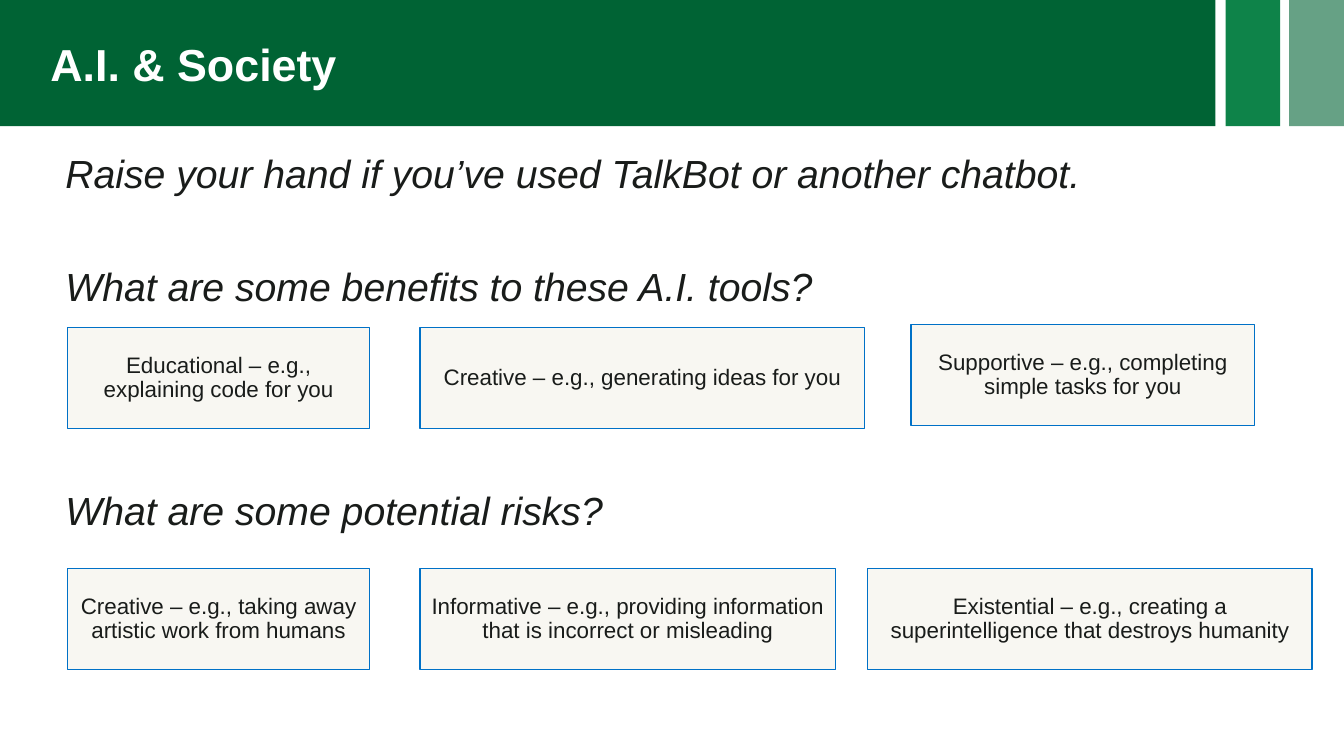
from dataclasses import dataclass

from pptx import Presentation
from pptx.dml.color import RGBColor
from pptx.enum.shapes import MSO_SHAPE as SHAPE
from pptx.enum.text import MSO_ANCHOR as ANCHOR, PP_ALIGN as ALIGN
from pptx.util import Cm, Pt


@dataclass(frozen=True)
class Theme:
    """Colours, font and type sizes of the slide."""
    banner: str = "006334"
    stripe: str = "0E8349"
    pale_stripe: str = "66A185"
    card: str = "F8F7F2"
    outline: str = "0071C7"
    ink: str = "191C1A"
    white: str = "FFFFFF"
    font: str = "Arial"
    title: int = 32
    question: int = 28
    answer: int = 16


THEME = Theme()
BANNER_HEIGHT = 3.18
CARD_HEIGHT = 2.54
INSET = 0.25

QUESTIONS = [
    ("Raise your hand if you’ve used TalkBot or another chatbot.", 0),
    ("What are some benefits to these A.I. tools?", 47),
    ("What are some potential risks?", 126.4),
]
ANSWERS = [
    (1.7, 8.26, 7.62, "Educational – e.g., explaining code for you"),
    (10.59, 8.26, 11.2, "Creative – e.g., generating ideas for you"),
    (22.96, 8.18, 8.66, "Supportive – e.g., completing simple tasks for you"),
    (1.7, 14.33, 7.62, "Creative – e.g., taking away artistic work from humans"),
    (10.59, 14.33, 10.46,
     "Informative – e.g., providing information that is incorrect or misleading"),
    (21.87, 14.33, 11.2,
     "Existential – e.g., creating a superintelligence that destroys humanity"),
]


def set_font(p, size, color, bold=False, italic=False):
    """Style a whole paragraph."""
    font = p.font
    font.name, font.size = THEME.font, Pt(size)
    font.bold, font.italic = bold, italic
    font.color.rgb = RGBColor.from_string(color)


def set_frame(tf, left=INSET, top=INSET, bottom=INSET, anchor=ANCHOR.MIDDLE):
    """Wrap a text frame and set its margins and anchor."""
    tf.word_wrap = True
    tf.vertical_anchor = anchor
    tf.margin_left, tf.margin_right = Cm(left), Cm(INSET)
    tf.margin_top, tf.margin_bottom = Cm(top), Cm(bottom)


def add_block(s, left, top, width, height, fill, line=None):
    """Add a flat rectangle, outlined if a line colour is given."""
    sp = s.shapes.add_shape(SHAPE.RECTANGLE, Cm(left), Cm(top), Cm(width), Cm(height))
    sp.shadow.inherit = False
    sp.fill.solid()
    sp.fill.fore_color.rgb = RGBColor.from_string(fill)
    if line:
        sp.line.color.rgb = RGBColor.from_string(line)
        sp.line.width = Pt(1)
    else:
        sp.line.fill.background()
    return sp


def add_banner(s, title):
    """Add the title banner and the two stripes beside it."""
    add_block(s, 30.89, 0, 1.37, BANNER_HEIGHT, THEME.stripe)
    add_block(s, 32.49, 0, 1.38, BANNER_HEIGHT, THEME.pale_stripe)
    tf = add_block(s, 0, 0, 30.63, BANNER_HEIGHT, THEME.banner).text_frame
    set_frame(tf, left=1.27, bottom=0)
    p = tf.paragraphs[0]
    p.text = title
    p.alignment = ALIGN.LEFT
    p.line_spacing = 0.85
    set_font(p, THEME.title, THEME.white, bold=True)


def add_questions(s, questions):
    """Add the questions as one text box, spaced to leave room for answers."""
    tf = s.shapes.add_textbox(Cm(1.07), Cm(3.45), Cm(31.75), Cm(14.33)).text_frame
    set_frame(tf, left=0.58, top=0.32, anchor=ANCHOR.TOP)
    for i, (text, gap) in enumerate(questions):
        p = tf.add_paragraph() if i else tf.paragraphs[0]
        p.text = text
        if gap:
            p.space_before = Pt(gap)
        set_font(p, THEME.question, THEME.ink, italic=True)


def add_answer(s, left, top, width, text):
    """Add one outlined answer card."""
    tf = add_block(s, left, top, width, CARD_HEIGHT, THEME.card, THEME.outline).text_frame
    set_frame(tf)
    p = tf.paragraphs[0]
    p.text = text
    p.alignment = ALIGN.CENTER
    p.line_spacing = 0.9
    set_font(p, THEME.answer, THEME.ink)


def main():
    """Build and save the slide."""
    prs = Presentation()
    prs.slide_width, prs.slide_height = Cm(33.87), Cm(19.05)
    s = prs.slides.add_slide(prs.slide_layouts[6])
    add_banner(s, "A.I. & Society")
    add_questions(s, QUESTIONS)
    for answer in ANSWERS:
        add_answer(s, *answer)
    prs.save("out.pptx")


if __name__ == "__main__":
    main()
